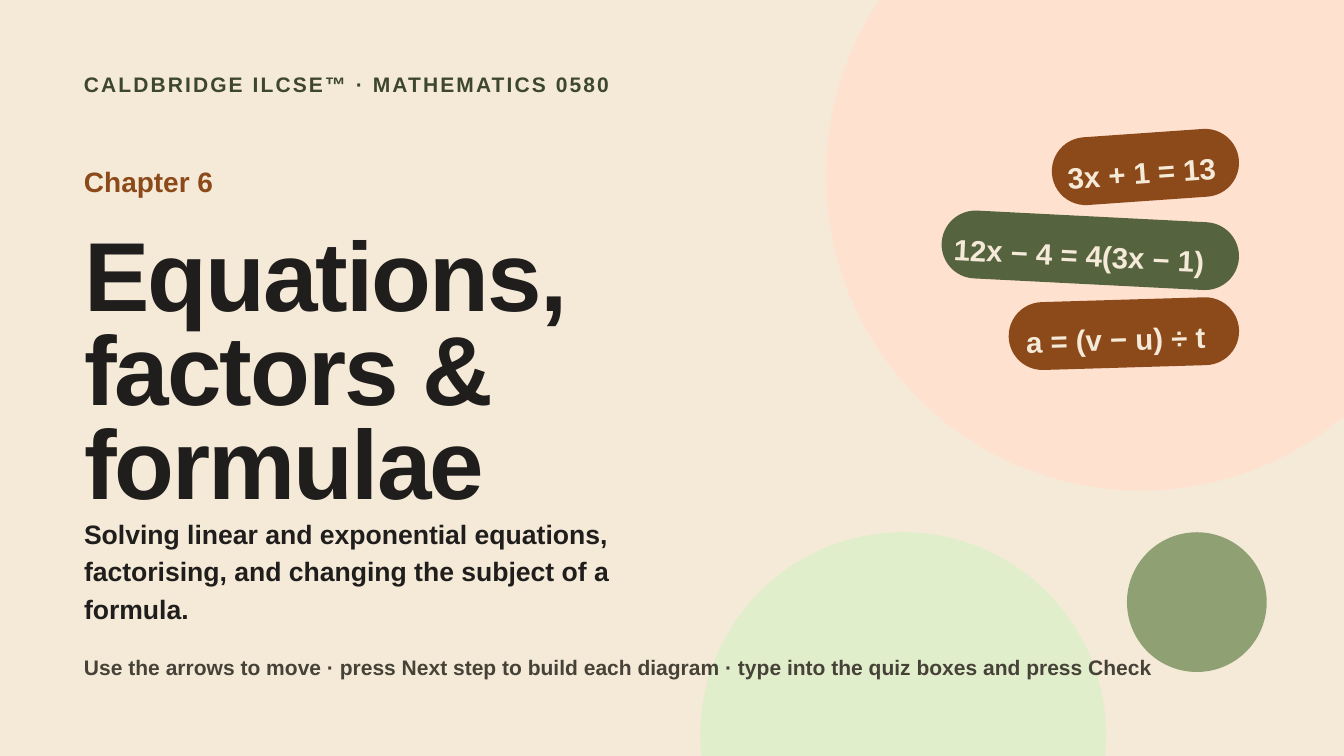
from pptx import Presentation
from pptx.dml.color import RGBColor
from pptx.enum.shapes import MSO_SHAPE
from pptx.enum.text import MSO_ANCHOR, MSO_AUTO_SIZE, PP_ALIGN
from pptx.util import Inches, Pt

CREAM = RGBColor(0xF5, 0xEA, 0xD8)
PEACH = RGBColor(0xFF, 0xE1, 0xD0)
MINT = RGBColor(0xE1, 0xEE, 0xCC)
SAGE = RGBColor(0x8F, 0xA0, 0x73)
BROWN = RGBColor(0x8C, 0x49, 0x1A)
OLIVE = RGBColor(0x56, 0x63, 0x3F)
FOREST = RGBColor(0x3D, 0x47, 0x2B)
INK = RGBColor(0x20, 0x1E, 0x1D)
TAUPE = RGBColor(0x47, 0x42, 0x38)


def write_text(sp, text, size, color, line, spacing=0, left=0, anchor=MSO_ANCHOR.TOP):
    """Fill a shape with one bold, left-aligned paragraph."""
    tf = sp.text_frame
    tf.word_wrap = True
    tf.auto_size = MSO_AUTO_SIZE.NONE
    tf.vertical_anchor = anchor
    tf.margin_left = Inches(left)
    tf.margin_top = tf.margin_right = tf.margin_bottom = 0
    p = tf.paragraphs[0]
    p.alignment = PP_ALIGN.LEFT
    p.line_spacing = Pt(line)
    p.space_before = Pt(0)
    r = p.add_run()
    r.text = text
    r.font.name = "Arial"
    r.font.size = Pt(size)
    r.font.bold = True
    r.font.color.rgb = color
    if spacing:
        r._r.get_or_add_rPr().set("spc", str(round(spacing * 100)))


def add_filled(kind, x, y, w, h, color):
    """Add a flat shape without outline or shadow."""
    sp = s.shapes.add_shape(kind, Inches(x), Inches(y), Inches(w), Inches(h))
    sp.shadow.inherit = False
    sp.fill.solid()
    sp.fill.fore_color.rgb = color
    sp.line.fill.background()
    return sp


prs = Presentation()
prs.slide_width, prs.slide_height = Inches(20), Inches(11.25)
s = prs.slides.add_slide(prs.slide_layouts[0])
s.background.fill.solid()
s.background.fill.fore_color.rgb = CREAM

# Decorative circles
for x, y, d, color in [
    (12.29, -2.08, 9.38, PEACH),
    (10.42, 7.92, 6.04, MINT),
    (16.77, 7.92, 2.08, SAGE),
]:
    add_filled(MSO_SHAPE.OVAL, x, y, d, d, color)

# Tilted equation pills, sharing one right edge
PILL_RIGHT, PILL_H = 18.44, 1.01
for text, y, w, angle, left, color in [
    ("3x + 1 = 13", 1.98, 2.79, -4, 0.08, BROWN),
    ("12x − 4 = 4(3x − 1)", 3.22, 4.43, 2.9, 0.04, OLIVE),
    ("a = (v − u) ÷ t", 4.46, 3.43, -1.7, 0.11, BROWN),
]:
    sp = add_filled(MSO_SHAPE.ROUNDED_RECTANGLE, PILL_RIGHT - w, y, w, PILL_H, color)
    sp.adjustments[0] = 0.5
    sp.rotation = angle
    write_text(sp, text, 31.5, CREAM, 48.8, left=left, anchor=MSO_ANCHOR.MIDDLE)

# Title and subtitle
MARGIN = 1.25
title, subtitle = s.shapes.title, s.placeholders[1]
for sp, y, w, h in [(title, 3.52, 10.94, 3.97), (subtitle, 7.63, 9.38, 1.18)]:
    sp.left, sp.top = Inches(MARGIN), Inches(y)
    sp.width, sp.height = Inches(w), Inches(h)
write_text(title, "Equations, factors & formulae", 105, INK, 100.8, spacing=-2.1)
write_text(
    subtitle,
    "Solving linear and exponential equations, factorising, "
    "and changing the subject of a formula.",
    28.5, INK, 39.9,
)

# Course line, chapter label and usage hint
for text, y, w, h, size, color, line, spacing in [
    ("CALDBRIDGE ILCSE™ · MATHEMATICS 0580", 0.95, 17.5, 0.58, 22.5, FOREST, 34.9, 2.2),
    ("Chapter 6", 2.31, 10.94, 0.77, 30, BROWN, 46.5, 0),
    ("Use the arrows to move · press Next step to build each diagram · "
     "type into the quiz boxes and press Check", 9.63, 17.5, 0.58, 22.5, TAUPE, 34.9, 0),
]:
    sp = s.shapes.add_textbox(Inches(MARGIN), Inches(y), Inches(w), Inches(h))
    write_text(sp, text, size, color, line, spacing)

prs.save("out.pptx")
